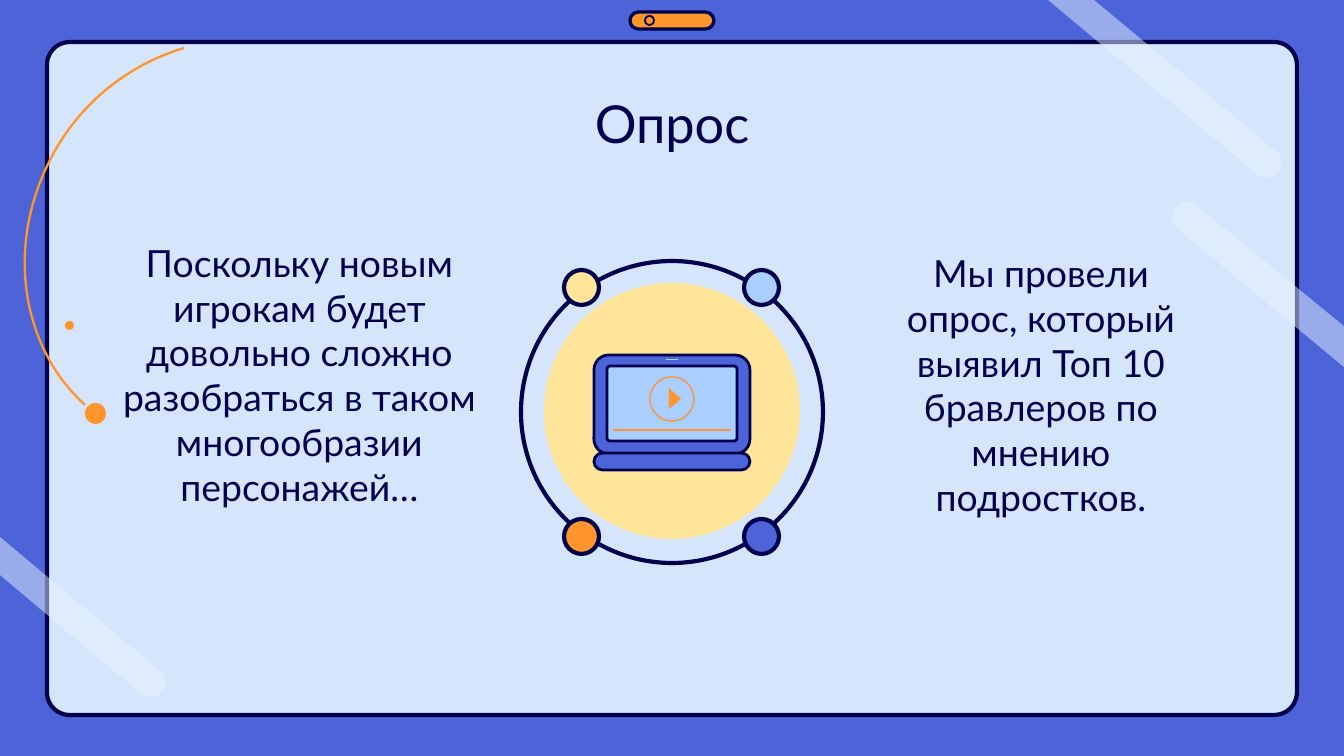
import math
from lxml import etree
from pptx import Presentation
from pptx.dml.color import RGBColor
from pptx.enum.shapes import MSO_CONNECTOR, MSO_SHAPE
from pptx.enum.text import MSO_ANCHOR, PP_ALIGN
from pptx.oxml.ns import qn
from pptx.util import Emu, Pt

ROUND = MSO_SHAPE.ROUNDED_RECTANGLE
OVAL = MSO_SHAPE.OVAL
STRAIGHT = MSO_CONNECTOR.STRAIGHT
TOP = MSO_ANCHOR.TOP
MIDDLE = MSO_ANCHOR.MIDDLE
CENTER = PP_ALIGN.CENTER

BLUE = RGBColor(0x4C, 0x64, 0xD8)
PALE = RGBColor(0xD5, 0xE6, 0xFC)
NAVY = RGBColor(0x00, 0x00, 0x4D)
ORANGE = RGBColor(0xFF, 0x95, 0x2B)
YELLOW = RGBColor(0xFF, 0xE5, 0x99)
SKY = RGBColor(0xA8, 0xCF, 0xFF)
GLARE = RGBColor(0xE9, 0xF3, 0xFF)

WIDTH, HEIGHT = 1344, 756
SCALE = 9144000 / WIDTH


def px(length):
    return Emu(round(length * SCALE))


def bezier(start, first, second, end, steps=24):
    points = []
    for step in range(steps + 1):
        t = step / steps
        weights = ((1 - t) ** 3, 3 * t * (1 - t) ** 2, 3 * t * t * (1 - t), t ** 3)
        controls = (start, first, second, end)
        points.append(tuple(sum(w * p[axis] for w, p in zip(weights, controls)) for axis in (0, 1)))
    return points


def round_cap(center, radius, facing, steps=16):
    angles = [math.radians(facing + 90 - 180 * step / steps) for step in range(steps + 1)]
    return [(center[0] + radius * math.cos(a), center[1] + radius * math.sin(a)) for a in angles]


class Canvas:
    font = "Lato"
    inset = px(13)

    def __init__(self, slide):
        self.slide = slide
        self.shapes = slide.shapes

    def paint(self, shape, fill, line, weight, alpha=None):
        shape.shadow.inherit = False
        if fill is None:
            shape.fill.background()
        else:
            shape.fill.solid()
            shape.fill.fore_color.rgb = fill
        if alpha is not None:
            color = shape.element.spPr.find(qn("a:solidFill")).find(qn("a:srgbClr"))
            etree.SubElement(color, qn("a:alpha")).set("val", str(alpha * 1000))
        if line is None:
            shape.line.fill.background()
        else:
            shape.line.color.rgb = line
            shape.line.width = Pt(weight)

    def shape(self, kind, left, top, width, height, fill=None, line=None, weight=1, corner=None):
        shape = self.shapes.add_shape(kind, px(left), px(top), px(width), px(height))
        if corner is not None:
            shape.adjustments[0] = corner
        self.paint(shape, fill, line, weight)

    def circle(self, left, top, size, **style):
        self.shape(OVAL, left, top, size, size, **style)

    def outline(self, points, close=True, fill=None, line=None, weight=1, alpha=None):
        vertices = [(px(x), px(y)) for x, y in points]
        builder = self.shapes.build_freeform(*vertices[0], scale=1.0)
        builder.add_line_segments(vertices[1:], close=close)
        self.paint(builder.convert_to_shape(), fill, line, weight, alpha)

    def rule(self, left, right, y, color, weight):
        rule = self.shapes.add_connector(STRAIGHT, px(left), px(y), px(right), px(y))
        rule.line.color.rgb = color
        rule.line.width = Pt(weight)
        etree.SubElement(rule.element.spPr, qn("a:effectLst"))

    def text(self, words, left, top, width, height, size=20, anchor=MIDDLE):
        frame = self.shapes.add_textbox(px(left), px(top), px(width), px(height)).text_frame
        frame.word_wrap = True
        frame.vertical_anchor = anchor
        frame.margin_left = frame.margin_right = self.inset
        frame.margin_top = frame.margin_bottom = self.inset
        paragraph = frame.paragraphs[0]
        paragraph.alignment = CENTER
        run = paragraph.add_run()
        run.text = words
        run.font.name = self.font
        run.font.size = Pt(size)
        run.font.color.rgb = NAVY


def draw_backdrop(canvas):
    background = canvas.slide.background.fill
    background.solid()
    background.fore_color.rgb = BLUE
    canvas.shape(ROUND, 47, 42, 1250, 673, fill=PALE, line=NAVY, weight=2.25, corner=0.034)
    canvas.shape(ROUND, 630, 12, 84, 17, fill=ORANGE, line=NAVY, weight=1.75, corner=0.5)
    canvas.circle(645, 16, 9, line=NAVY, weight=1)

    orbit = bezier((184, 48), (134, 63), (86, 97), (56, 149))
    orbit += bezier((56, 149), (4, 239), (19, 345), (85, 405))[1:]
    canvas.outline(orbit, close=False, line=ORANGE, weight=1.25)
    canvas.circle(65, 321, 9, fill=ORANGE)
    canvas.circle(85, 403, 21, fill=ORANGE)

    for cap_center, facing, tail in (
        ((1267, 163), 40, [(1094, 0), (1048, 0)]),
        ((150, 682), 40, [(0, 537), (0, 575)]),
        ((1187, 217), 220, [(1344, 367), (1344, 326)]),
    ):
        canvas.outline(round_cap(cap_center, 15, facing) + tail, fill=GLARE, alpha=50)


def draw_laptop(canvas):
    canvas.circle(544, 283, 256, fill=YELLOW)
    canvas.circle(521, 261, 302, line=NAVY, weight=2.25)
    canvas.shape(ROUND, 594, 355, 156, 99, fill=BLUE, line=NAVY, weight=1.5, corner=0.15)
    canvas.shape(ROUND, 607, 366, 130, 75, fill=SKY, line=NAVY, weight=1.5, corner=0.04)
    canvas.circle(650, 377, 44, line=ORANGE, weight=0.75)
    canvas.outline([(669, 388), (669, 409), (681, 399)], fill=ORANGE)
    canvas.rule(613, 731, 430, ORANGE, 0.75)
    canvas.rule(666, 678, 359, SKY, 0.25)
    canvas.shape(ROUND, 594, 453, 156, 17, fill=BLUE, line=NAVY, weight=1.5, corner=0.5)


def main():
    presentation = Presentation()
    presentation.slide_width = px(WIDTH)
    presentation.slide_height = px(HEIGHT)
    canvas = Canvas(presentation.slides.add_slide(presentation.slide_layouts[6]))

    draw_backdrop(canvas)
    canvas.text("Опрос", 106, 78, 1132, 84, size=28, anchor=TOP)
    draw_laptop(canvas)
    canvas.text(
        "Поскольку новым игрокам будет довольно сложно разобраться в таком многообразии персонажей…",
        95, 331, 409, 87,
    )
    canvas.text(
        "Мы провели опрос, который выявил Топ 10 бравлеров по мнению подростков.",
        867, 316, 348, 137,
    )
    for index, color in enumerate((YELLOW, SKY, ORANGE, BLUE)):
        row, column = divmod(index, 2)
        canvas.circle(564 + 180 * column, 270 + 249 * row, 35, fill=color, line=NAVY, weight=2.25)
    presentation.save("out.pptx")


if __name__ == "__main__":
    main()
